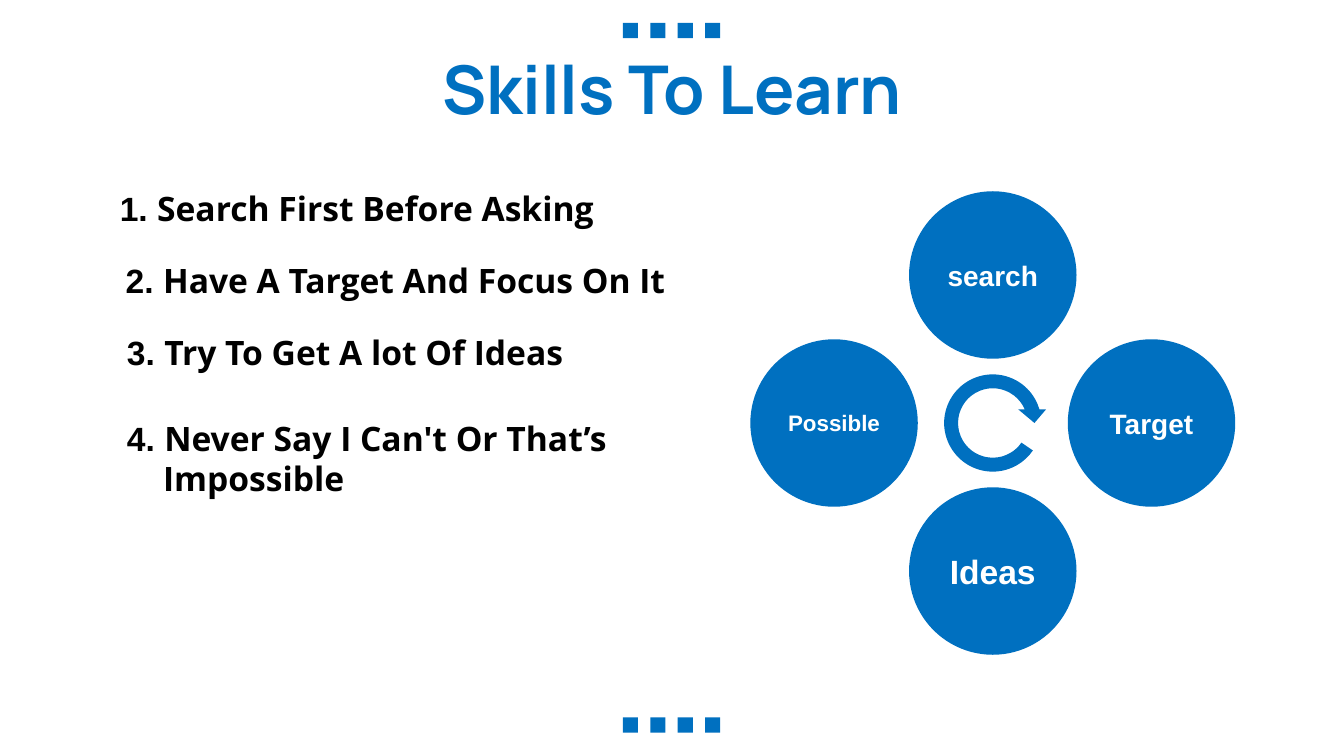
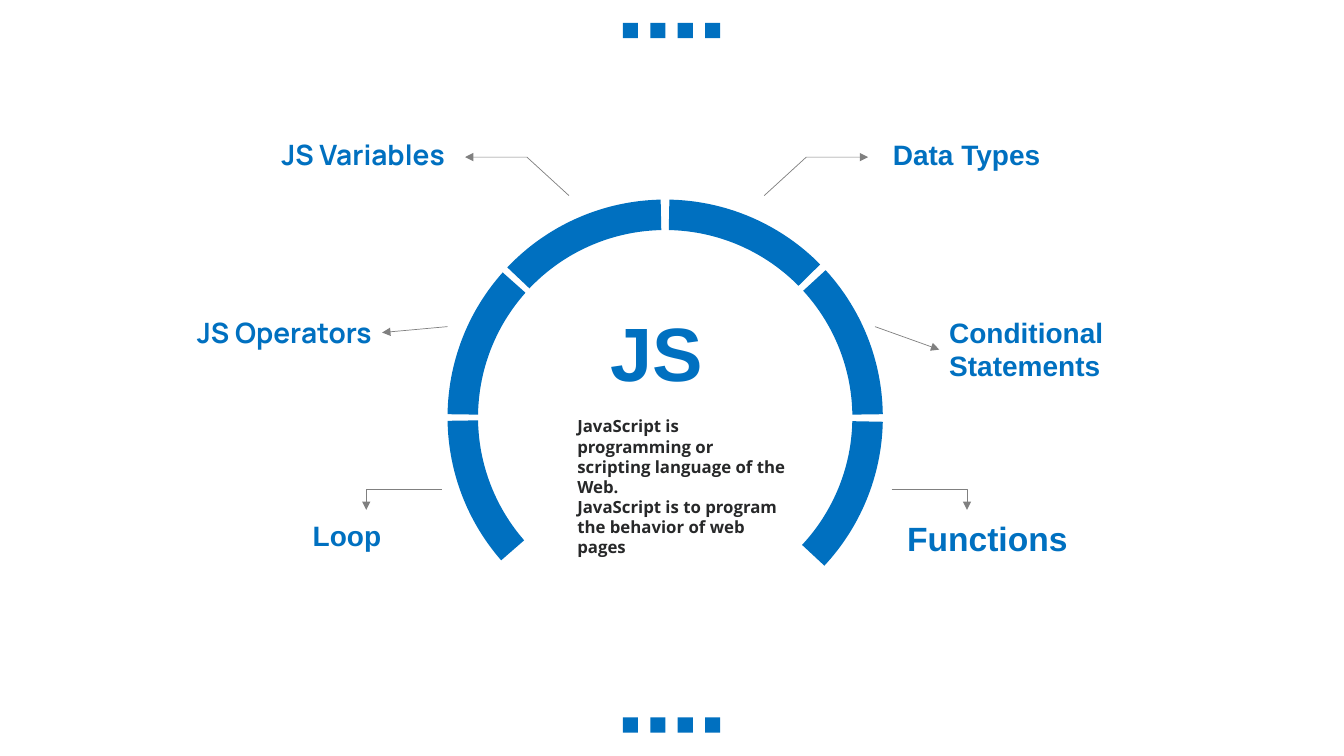
from lxml.etree import SubElement
from pptx import Presentation
from pptx.dml.color import RGBColor
from pptx.enum.shapes import MSO_CONNECTOR, MSO_SHAPE
from pptx.enum.text import MSO_ANCHOR, PP_ALIGN
from pptx.oxml.ns import qn
from pptx.util import Cm, Pt

BLUE, BLACK, DARK, GREY, WHITE = "0070C0", "000000", "272829", "808080", "FFFFFF"
LEFT, CENTER, RIGHT = PP_ALIGN.LEFT, PP_ALIGN.CENTER, PP_ALIGN.RIGHT


def rgb(color):
    return RGBColor.from_string(color)


class Deck:
    """Shared style and the current slide; all lengths are centimetres."""

    def __init__(self):
        self.prs = Presentation()
        self.prs.slide_width, self.prs.slide_height = Cm(33.87), Cm(19.05)

    def new_slide(self):
        self.s = self.prs.slides.add_slide(self.prs.slide_layouts[6])
        # Rows of four squares at top and bottom
        for y in (0.58, 18.08):
            for i in range(4):
                self.shape(MSO_SHAPE.RECTANGLE, 15.7 + 0.69 * i, y, 0.38)

    def shape(self, kind, x, y, size, adjustments=()):
        sp = self.s.shapes.add_shape(kind, Cm(x), Cm(y), Cm(size), Cm(size))
        sp.shadow.inherit = False
        sp.fill.solid()
        sp.fill.fore_color.rgb = rgb(BLUE)
        sp.line.fill.background()
        for i, value in enumerate(adjustments):
            sp.adjustments[i] = value
        return sp

    def style(self, p, size, font=None, color=BLUE, align=LEFT):
        p.alignment = align
        p.font.size, p.font.bold = Pt(size), True
        p.font.color.rgb = rgb(color)
        if font:
            p.font.name = font

    def circle(self, cx, cy, size, text, text_size):
        sp = self.shape(MSO_SHAPE.OVAL, cx - size / 2, cy - size / 2, size)
        tf = sp.text_frame
        tf.margin_left = tf.margin_right = 0
        tf.vertical_anchor = MSO_ANCHOR.MIDDLE
        tf.text = text
        self.style(tf.paragraphs[0], text_size, "Arial", WHITE, CENTER)

    def box(self, x, y, w, h):
        tf = self.s.shapes.add_textbox(Cm(x), Cm(y), Cm(w), Cm(h)).text_frame
        tf.word_wrap = True
        return tf

    def text(self, x, y, w, h, text, size, font="Arial", color=BLUE, align=LEFT):
        tf = self.box(x, y, w, h)
        tf.text = text
        for p in tf.paragraphs:
            self.style(p, size, font, color, align)
        return tf

    def title(self, x, y, h, text, size, font):
        tf = self.text(x, y, 32.16, h, text, size, font, align=CENTER)
        tf.vertical_anchor = MSO_ANCHOR.MIDDLE
        p = tf.paragraphs[0]
        p.line_spacing, p.space_before = 0.9, Pt(10)

    def numbered(self, x, y, number, lines):
        tf = self.box(x, y, 14.9, 1.28 * len(lines))
        for i, line in enumerate(lines):
            p = tf.add_paragraph() if i else tf.paragraphs[0]
            self.style(p, 24, color=BLACK)
            if i:
                p._p.get_or_add_pPr().set("marL", str(Cm(0.91)))
                parts = [(line, "Open Sans")]
            else:
                parts = [(f"{number}. ", "Arial"), (line, "Open Sans")]
            for text, font in parts:
                r = p.add_run()
                r.text, r.font.name = text, font

    def arrow(self, *points):
        points = [(Cm(x), Cm(y)) for x, y in points]
        if len(points) == 2:
            sp = self.s.shapes.add_connector(MSO_CONNECTOR.STRAIGHT, *points[0], *points[1])
        else:
            builder = self.s.shapes.build_freeform(*points[0])
            builder.add_line_segments(points[1:], close=False)
            sp = builder.convert_to_shape()
            sp.fill.background()
        sp.line.color.rgb = rgb(GREY)
        sp.line.width = Pt(0.5)
        SubElement(sp.line._get_or_add_ln(), qn("a:tailEnd")).set("type", "triangle")
        SubElement(sp._element.spPr, qn("a:effectLst"))

    def arc(self, x, y, size, start, end):
        # Adjustments hold angles in units of 5/3 degree
        self.shape(MSO_SHAPE.BLOCK_ARC, x, y, size, (start * 0.6, end * 0.6, 0.07))


deck = Deck()

# Slide 1: skills list and cycle
deck.new_slide()
deck.title(0.86, 1.24, 2.2, "Skills To Learn", 48, "Manrope")

cx, cy, dx, dy = 25.02, 10.66, 4.0, 3.73
for x, y, label, size in [
    (cx, cy - dy, "search", 20),
    (cx, cy + dy, "Ideas", 24),
    (cx - dx, cy, "Possible", 16),
    (cx + dx, cy, "Target", 20),
]:
    deck.circle(x, y, 4.22, label, size)
deck.shape(MSO_SHAPE.CIRCULAR_ARROW, cx - 1.4, cy - 1.4, 2.8,
           (0.125, 11.42, 204.58, 20.65, 0.125))

skills = [
    (2.77, 4.6, ["Search First Before Asking"]),
    (2.92, 6.43, ["Have A Target And Focus On It"]),
    (2.95, 8.23, ["Try To Get A lot Of Ideas"]),
    (2.95, 10.41, ["Never Say I Can't Or That’s", "Impossible"]),
]
for number, (x, y, lines) in enumerate(skills, 1):
    deck.numbered(x, y, number, lines)

# Slide 2: JavaScript topics around a ring
deck.new_slide()
deck.title(0.46, 8.0, 2.0, "JS", 54, "Arial")
for start, end in [(1.2, 43), (138.9, 179.05), (180.8, 221.7),
                   (223.5, 268.8), (271.1, 315.4), (317.5, 359.2)]:
    deck.arc(11.28, 5.03, 10.97, start, end)

# Topic labels
deck.text(22.25, 3.35, 7.85, 1.12, "Data Types", 20)
deck.text(23.67, 7.82, 7.85, 1.96, "Conditional Statements", 20)
deck.text(22.61, 12.93, 7.85, 1.27, "Functions", 24)
deck.text(3.94, 3.33, 7.52, 1.12, "JS Variables", 20, "Manrope", align=RIGHT)
deck.text(3.35, 7.82, 6.27, 1.12, "JS Operators", 20, "Manrope", align=RIGHT)
deck.text(6.6, 12.93, 4.29, 1.12, "Loop", 20, align=CENTER)
deck.text(14.3, 10.36, 5.79, 3.33,
          "JavaScript is programming or scripting language of the Web.\n"
          "JavaScript is to program the behavior of web pages",
          12, "Open Sans", DARK)

# Arrows: mirrored bent pairs, then the two straight ones
axis = 16.8
for side in (1, -1):
    for bend in ([(2.46, 4.93), (3.52, 3.96), (5.08, 3.96)],
                 [(5.67, 12.32), (7.57, 12.32), (7.57, 12.85)]):
        deck.arrow(*[(axis + side * x, y) for x, y in bend])
deck.arrow((22.05, 8.23), (23.67, 8.81))
deck.arrow((11.28, 8.23), (9.63, 8.38))

deck.prs.save("out.pptx")
